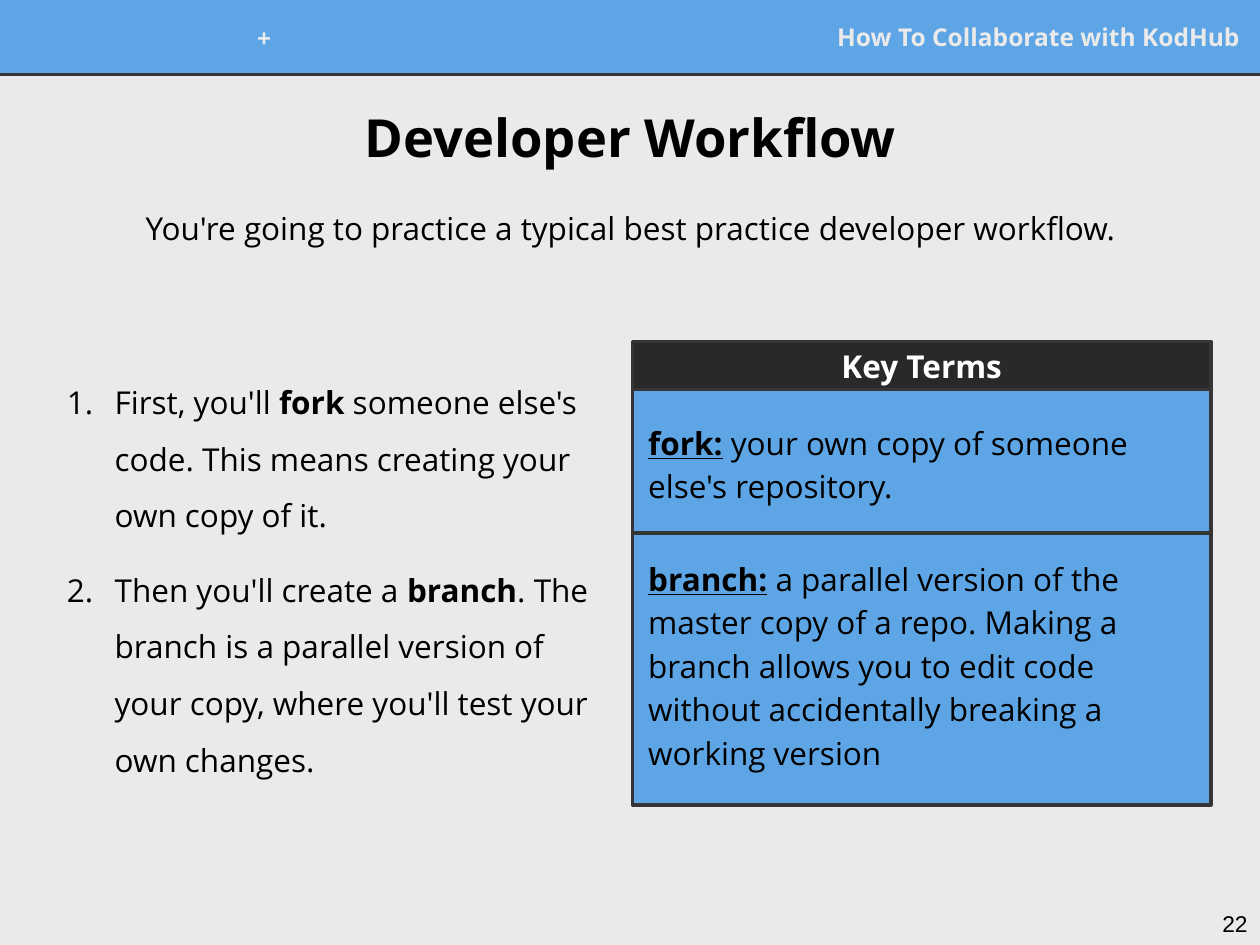
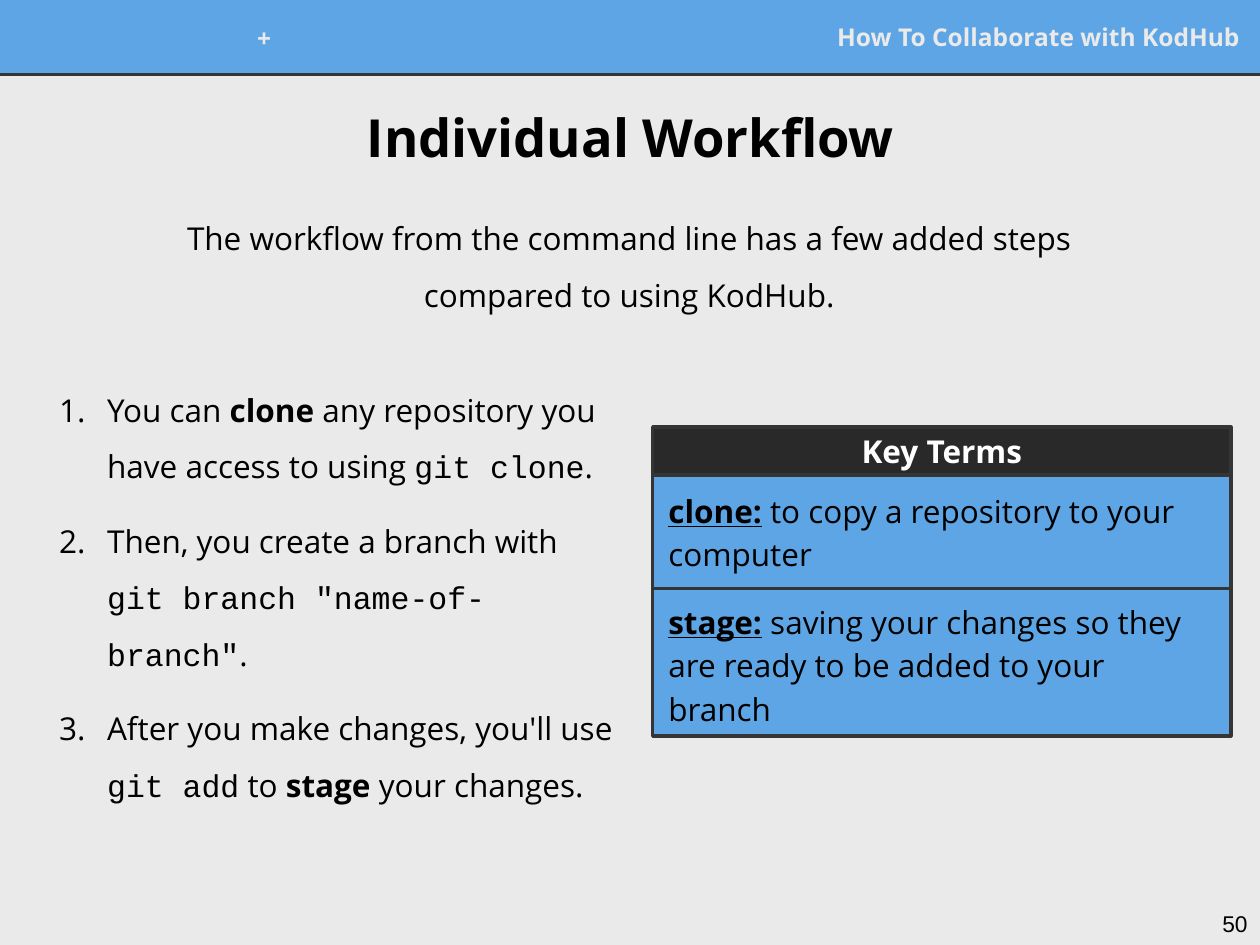
import lxml.etree
import pptx
import pptx.dml.color
import pptx.enum.shapes
import pptx.enum.text
import pptx.oxml
import pptx.oxml.ns
import pptx.util

COLORS = {
    "paper": "EAEAEA",
    "blue": "5EA5E5",
    "border": "353535",
    "header": "292929",
    "text": "000000",
    "white": "FFFFFF",
}
BODY_FONT, CODE_FONT, NUMBER_FONT = "Open Sans", "Courier New", "Arial"
COLUMNS, ROWS = 100, 75
ALIGN = pptx.enum.text.PP_ALIGN
ANCHOR = pptx.enum.text.MSO_ANCHOR
RECTANGLE = pptx.enum.shapes.MSO_SHAPE.RECTANGLE


def rgb(name):
    return pptx.dml.color.RGBColor.from_string(COLORS[name])


class Deck:
    """Hold the shared style and draw elements on the current slide."""

    def __init__(self):
        self.presentation = pptx.Presentation()
        self.presentation.slide_width = pptx.util.Inches(10)
        self.presentation.slide_height = pptx.util.Inches(7.5)
        self.slide = None

    def box(self, left, top, width, height):
        column = self.presentation.slide_width / COLUMNS
        row = self.presentation.slide_height / ROWS
        return [round(left * column), round(top * row), round(width * column), round(height * row)]

    def place(self, shape, area):
        shape.left, shape.top, shape.width, shape.height = self.box(*area)

    def frame(self, shape, margin=0.1, anchor=ANCHOR.TOP):
        frame = shape.text_frame
        frame.word_wrap = True
        frame.auto_size = pptx.enum.text.MSO_AUTO_SIZE.NONE
        frame.vertical_anchor = anchor
        frame.margin_left = frame.margin_right = pptx.util.Inches(margin)
        frame.margin_top = frame.margin_bottom = pptx.util.Inches(margin)
        return frame

    def fill_paragraph(self, paragraph, runs, size=18, color="text", bold=False, font=BODY_FONT,
                       align=ALIGN.LEFT, spacing=1.0, before=0, after=0):
        paragraph.alignment = align
        paragraph.line_spacing = spacing
        paragraph.space_before = pptx.util.Pt(before)
        paragraph.space_after = pptx.util.Pt(after)
        paragraph.font.name = font
        paragraph.font.size = pptx.util.Pt(size)
        paragraph.font.bold = bold
        paragraph.font.color.rgb = rgb(color)
        for text, style in runs:
            run = paragraph.add_run()
            run.text = text
            if style in ("bold", "term"):
                run.font.bold = True
            if style == "term":
                run.font.underline = True
            if style == "code":
                run.font.name = CODE_FONT

    def number(self, paragraph):
        properties = paragraph._p.get_or_add_pPr()
        properties.set("marL", str(pptx.util.Inches(0.5)))
        properties.set("indent", str(pptx.util.Inches(-0.38)))
        tag = pptx.oxml.ns.qn
        color = lxml.etree.SubElement(properties, tag("a:buClr"))
        lxml.etree.SubElement(color, tag("a:srgbClr"), val=COLORS["text"])
        lxml.etree.SubElement(properties, tag("a:buFont"), typeface=BODY_FONT)
        lxml.etree.SubElement(properties, tag("a:buAutoNum"), type="arabicPeriod")

    def text(self, area, runs, margin=0.1, anchor=ANCHOR.TOP, **style):
        shape = self.slide.shapes.add_textbox(*self.box(*area))
        self.fill_paragraph(self.frame(shape, margin, anchor).paragraphs[0], runs, **style)

    def rectangle(self, area, fill, line="border", weight=2):
        shape = self.slide.shapes.add_shape(RECTANGLE, *self.box(*area))
        shape.shadow.inherit = False
        shape.fill.solid()
        shape.fill.fore_color.rgb = rgb(fill)
        shape.line.color.rgb = rgb(line)
        shape.line.width = pptx.util.Pt(weight)
        return shape

    def rule(self, top):
        left, height, width, _ = self.box(0, top, COLUMNS, 0)
        line = self.slide.shapes.add_connector(
            pptx.enum.shapes.MSO_CONNECTOR.STRAIGHT, left, height, width, height)
        line.line.color.rgb = rgb("border")
        line.line.width = pptx.util.Pt(1.5)
        lxml.etree.SubElement(line._element.spPr, pptx.oxml.ns.qn("a:effectLst"))

    def start(self, title, page):
        self.slide = self.presentation.slides.add_slide(self.presentation.slide_layouts[1])
        background = self.slide.background.fill
        background.solid()
        background.fore_color.rgb = rgb("paper")
        self.rectangle((0, 0, COLUMNS, 5.9), "blue", "blue", 0.75)
        self.rule(5.9)
        band = dict(anchor=ANCHOR.MIDDLE, size=14, color="paper", bold=True, align=ALIGN.RIGHT)
        self.text((45.3, 1, 54.1, 3.8), [("How To Collaborate with KodHub", "")], **band)
        self.text((19.3, 1.1, 3.2, 3.8), [("+", "")], **band)
        self.text((94, 71.2, 6, 3.8), [(page, "")], size=13, font=NUMBER_FONT, align=ALIGN.RIGHT)
        shape = self.slide.shapes.title
        self.place(shape, (1.8, 6.3, 96.5, 9))
        self.fill_paragraph(self.frame(shape, anchor=ANCHOR.MIDDLE).paragraphs[0], [(title, "")],
                            size=30, bold=True, align=ALIGN.CENTER)

    def subtitle(self, area, text, spacing):
        self.text(area, [(text, "")], anchor=ANCHOR.MIDDLE, align=ALIGN.CENTER, spacing=spacing)

    def steps(self, area, items):
        shape = self.slide.placeholders[1]
        self.place(shape, area)
        frame = self.frame(shape)
        for index, runs in enumerate(items):
            paragraph = frame.add_paragraph() if index else frame.paragraphs[0]
            self.number(paragraph)
            self.fill_paragraph(paragraph, runs, spacing=1.5, before=10 if index else 0,
                                after=10 if index == len(items) - 1 else 0)

    def key_terms(self, left, top, terms):
        width, header_height, side = 45.9, 3.8, 0.65
        header = self.rectangle((left, top, width, header_height), "header")
        self.fill_paragraph(self.frame(header, 0.06, ANCHOR.MIDDLE).paragraphs[0],
                            [("Key Terms", "")], color="white", bold=True, align=ALIGN.CENTER)
        top += header_height
        for term, meaning, height, inset in terms:
            self.rectangle((left, top, width, height), "blue")
            self.text((left + side, top + inset, width - 2 * side, height - 2 * inset),
                      [(term, "term"), (meaning, "")], margin=0.06, spacing=1.15, after=10)
            top += height


def main():
    deck = Deck()

    deck.start("Developer Workflow", "22")
    deck.subtitle((1.8, 13.7, 96.5, 8.4),
                  "You're going to practice a typical best practice developer workflow.", 1.15)
    deck.steps((3.1, 27.9, 44.8, 44.6), [
        [("First, you'll ", ""), ("fork", "bold"),
         (" someone else's code. This means creating your own copy of it.", "")],
        [("Then you'll create a ", ""), ("branch", "bold"),
         (". The branch is a parallel version of your copy, "
          "where you'll test your own changes.", "")],
    ])
    deck.key_terms(50.2, 27.1, [
        ("fork:", " your own copy of someone else's repository.", 11.4, 1.7),
        ("branch:", " a parallel version of the master copy of a repo. Making a branch allows "
         "you to edit code without accidentally breaking a working version", 21.6, 1.1),
    ])

    deck.start("Individual Workflow", "50")
    deck.subtitle((11.3, 16.2, 77.3, 8.4),
                  "The workflow from the command line has a few added steps "
                  "compared to using KodHub.", 1.5)
    deck.steps((2.5, 28.5, 47.3, 44.6), [
        [("You can ", ""), ("clone", "bold"), (" any repository you have access to using ", ""),
         ("git clone", "code"), (".", "")],
        [("Then, you create a branch with ", ""), ('git branch "name-of-branch"', "code"),
         (".", "")],
        [("After you make changes, you'll use ", ""), ("git add", "code"), (" to ", ""),
         ("stage", "bold"), (" your changes.", "")],
    ])
    deck.key_terms(51.8, 33.9, [
        ("clone:", " to copy a repository to your computer", 9, 0.3),
        ("stage:", " saving your changes so they are ready to be added to your branch", 11.7, 0.1),
    ])

    deck.presentation.save("out.pptx")


if __name__ == "__main__":
    main()
